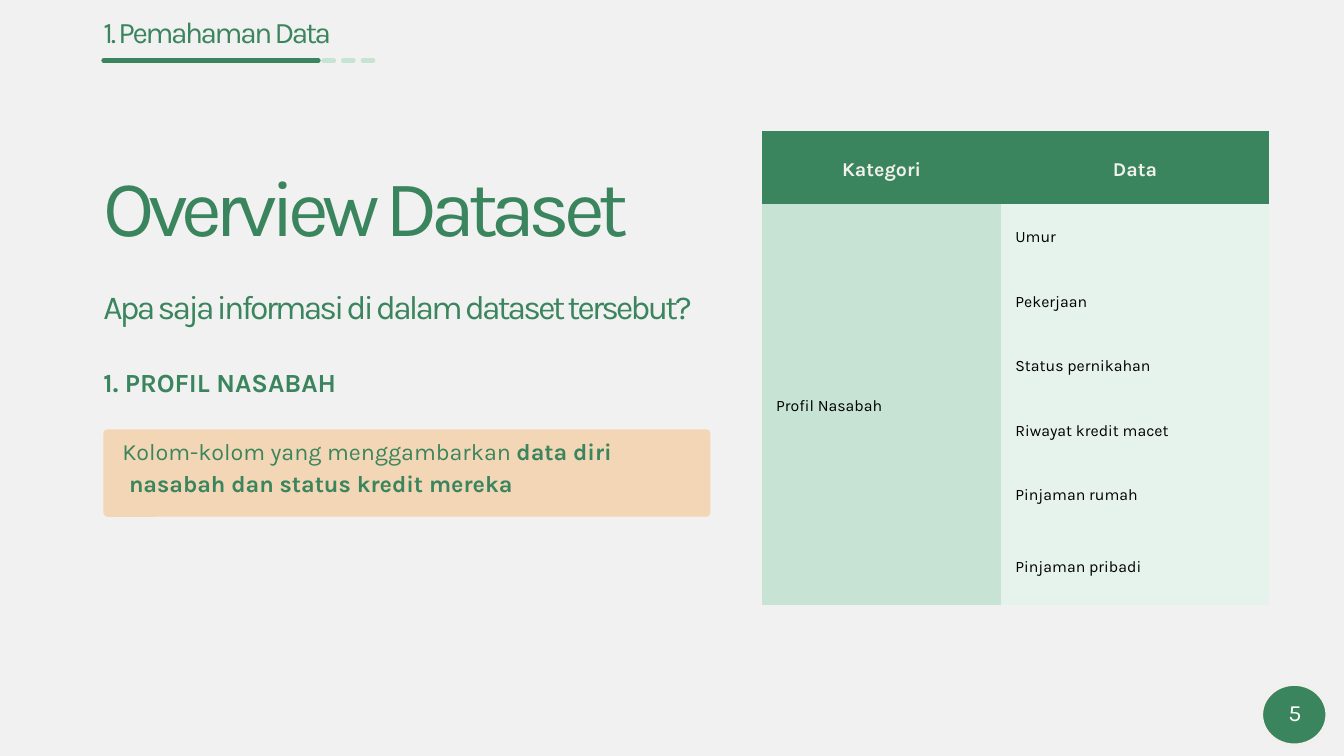
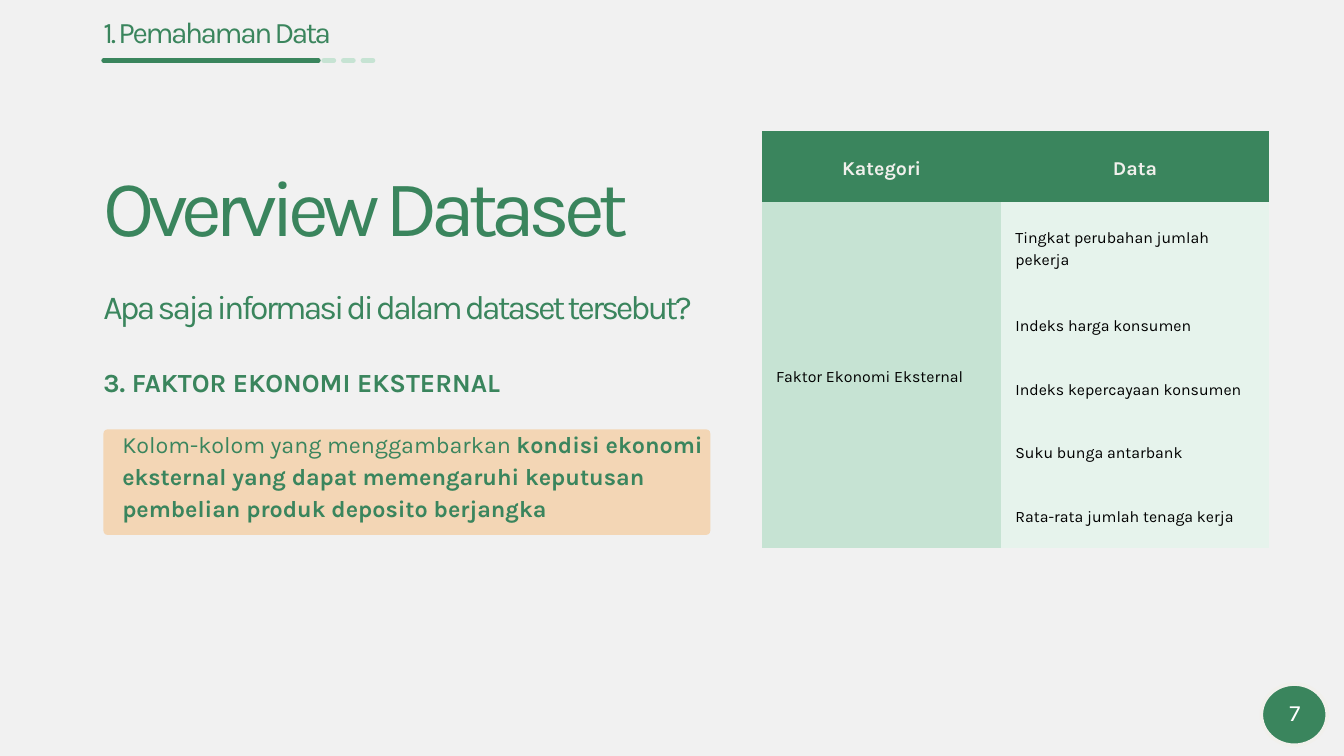
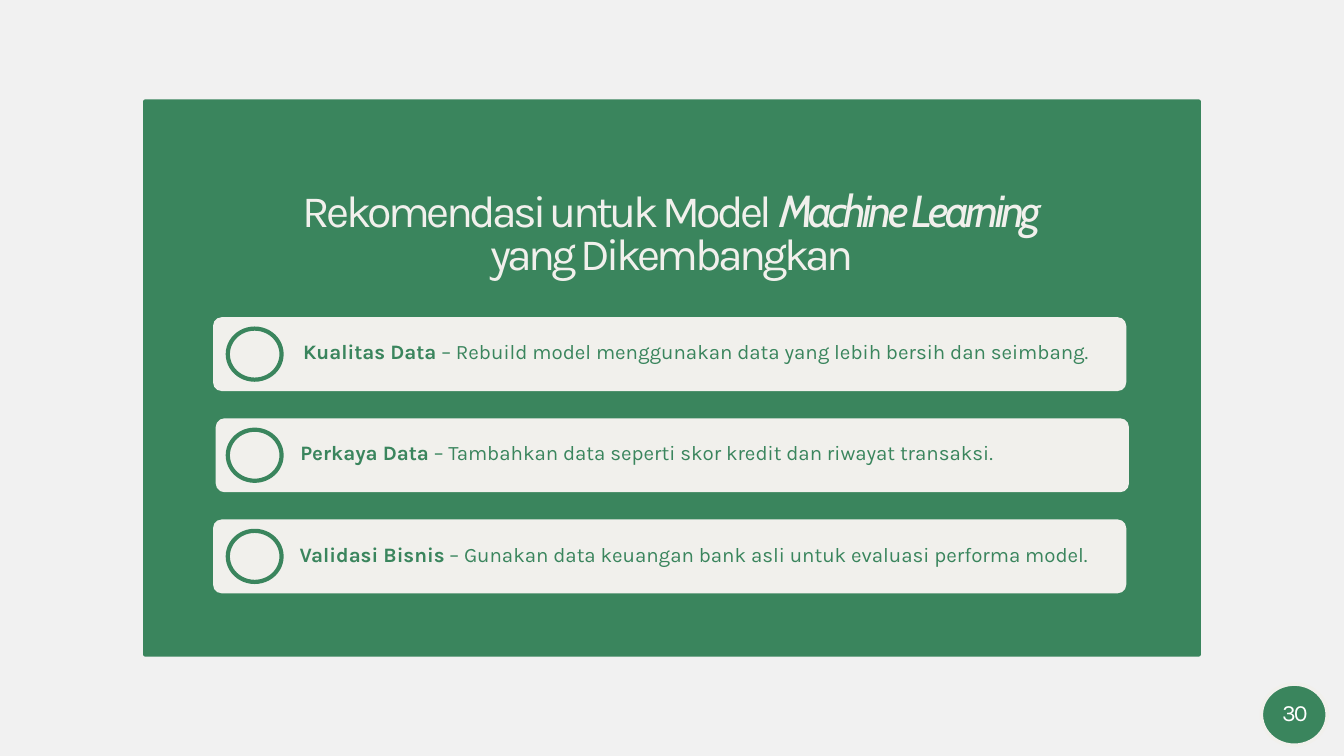
"""Build three slides on dataset overview and model recommendations."""
from dataclasses import dataclass

from lxml import etree
from pptx import Presentation, util as u
from pptx.dml.color import RGBColor
from pptx.enum import dml, shapes, text
from pptx.oxml.ns import qn


@dataclass(frozen=True)
class Theme:
    green: str = "3A855D"
    mint: str = "C6E3D3"
    pale: str = "E6F3EC"
    peach: str = "F3D6B5"
    cream: str = "F1F0EC"
    page: str = "F1F1F1"
    white: str = "FFFFFF"
    black: str = "000000"
    font: str = "Karla"
    accent: str = "Cabin"
    section: tuple = (32, 30.7, -260, green)
    title: tuple = (85, 81.6, -700, green)
    question: tuple = (36, 34.6, -300, green)
    topic: tuple = (28, 26.9, 0, green)
    note: tuple = (25, 34, 0, green)
    number: tuple = (25, 19.2, -200, white)
    head: tuple = (21, 29.4, 0, cream)
    cell: tuple = (17, 23.8, 0, black)
    panel: tuple = (48, 46.1, -390, cream)
    advice: tuple = (22, 26.6, 0, green)


T = Theme()
BOLD, CENTER = {"bold": True}, text.PP_ALIGN.CENTER
MIDDLE = text.MSO_ANCHOR.MIDDLE


def write(tf, paras, style, inset=0, left=None, anchor=text.MSO_ANCHOR.TOP, align=None):
    size, leading, spacing, color = style
    pad = u.Inches(inset)
    frame = {"word_wrap": True, "vertical_anchor": anchor, "margin_top": pad, "margin_right": pad,
             "margin_bottom": pad, "margin_left": pad if left is None else u.Inches(left)}
    for key, value in frame.items():
        setattr(tf, key, value)
    for i, runs in enumerate(paras):
        p = tf.add_paragraph() if i else tf.paragraphs[0]
        p.line_spacing, p.alignment = u.Pt(leading), align
        for words, extra in runs:
            r = p.add_run()
            r.text = words
            for key, value in {"name": T.font, "size": u.Pt(size), **extra}.items():
                setattr(r.font, key, value)
            r.font.color.rgb = RGBColor.from_string(color)
            if spacing:
                r._r.get_or_add_rPr().set("spc", str(spacing))


def shape(s, kind, at, fill, radius=0, line=None, width=0):
    sp = s.shapes.add_shape(kind, *map(u.Inches, at))
    sp.shadow.inherit = False
    sp.fill.solid()
    sp.fill.fore_color.rgb = RGBColor.from_string(fill)
    if radius:
        sp.adjustments[0] = radius / min(at[2:])
    if line:
        sp.line.color.rgb, sp.line.width = RGBColor.from_string(line), u.Pt(width)
    else:
        sp.line.fill.background()


ROUND, OVAL = shapes.MSO_SHAPE.ROUNDED_RECTANGLE, shapes.MSO_SHAPE.OVAL
prs = Presentation()
prs.slide_width, prs.slide_height = u.Inches(20), u.Inches(11.25)

overviews = [
    {"topic": "1. PROFIL NASABAH", "category": "Profil Nasabah", "note_height": 1.3,
     "note": [[("Kolom-kolom yang menggambarkan ", {}), ("data diri", BOLD)],
              [("nasabah dan status kredit mereka", BOLD)]],
     "indent": 0.1,
     "data": ["Umur", "Pekerjaan", "Status pernikahan", "Riwayat kredit macet",
              "Pinjaman rumah", "Pinjaman pribadi"],
     "heights": [1.08] + [0.96] * 5 + [1.17]},
    {"topic": "3. FAKTOR EKONOMI EKSTERNAL", "category": "Faktor Ekonomi Eksternal", "note_height": 1.57,
     "note": [[("Kolom-kolom yang menggambarkan ", {}), ("kondisi ekonomi", BOLD)],
              [("eksternal yang dapat memengaruhi keputusan", BOLD)],
              [("pembelian produk deposito berjangka", BOLD)]],
     "indent": 0,
     "data": ["Tingkat perubahan jumlah pekerja", "Indeks harga konsumen",
              "Indeks kepercayaan konsumen", "Suku bunga antarbank",
              "Rata-rata jumlah tenaga kerja"],
     "heights": [1.06, 1.34] + [0.95] * 4},
]

for view in overviews:
    s = prs.slides.add_slide(prs.slide_layouts[6])
    heights = view["heights"]
    at = map(u.Inches, (11.34, 1.95, 7.54, sum(heights)))
    tbl = s.shapes.add_table(len(heights), 2, *at).table
    for col, width in zip(tbl.columns, (3.56, 3.98)):
        col.width = u.Inches(width)
    for row, height in zip(tbl.rows, heights):
        row.height = u.Inches(height)
    rows = [("Kategori", "Data")] + [("", item) for item in view["data"]]
    rows[1] = (view["category"], view["data"][0])
    for i, row in enumerate(rows):
        for j, words in enumerate(row):
            cell = tbl.cell(i, j)
            tcPr = cell._tc.get_or_add_tcPr()
            for side in ("a:lnL", "a:lnR", "a:lnT", "a:lnB"):
                ln = etree.SubElement(tcPr, qn(side), w="0")
                etree.SubElement(ln, qn("a:noFill"))
            cell.fill.solid()
            cell.fill.fore_color.rgb = RGBColor.from_string((T.mint, T.pale)[j] if i else T.green)
            for side in ("left", "right", "top", "bottom"):
                setattr(cell, f"margin_{side}", u.Inches(0.21))
            cell.vertical_anchor = MIDDLE
            if words:
                write(cell.text_frame, [[(words, {"bold": i == 0})]], T.cell if i else T.head,
                      0.21, anchor=MIDDLE, align=None if i else CENTER)
    tbl.cell(1, 0).merge(tbl.cell(len(rows) - 1, 0))

    for top, width, height, words, style, extra in (
            (2.63, 9.03, 1.2, "Overview Dataset", T.title, {}),
            (0.31, 4.09, 0.45, "1. Pemahaman Data", T.section, {}),
            (4.37, 9.03, 0.52, "Apa saja informasi di dalam dataset tersebut?", T.question, {}),
            (5.54, 6.57, 0.4, view["topic"], T.topic, BOLD)):
        sp = s.shapes.add_textbox(*map(u.Inches, (1.54, top, width, height)))
        write(sp.text_frame, [[(words, extra)]], style)

    shape(s, ROUND, (1.54, 6.39, 9.03, view["note_height"]), T.peach, 0.06)
    sp = s.shapes.add_textbox(*map(u.Inches, (1.54, 6.15, 9.03, view["note_height"] + 0.24)))
    write(sp.text_frame, view["note"], T.note, 0.06, 0.28, MIDDLE)
    for p in sp.text_frame.paragraphs[1:]:
        p._p.get_or_add_pPr().set("marL", str(u.Inches(view["indent"])))

    for start, end, color, width, dash in ((1.54, 4.74, T.green, 4.5, None),
                                           (4.82, 5.63, T.mint, 5.25, dml.MSO_LINE.SQUARE_DOT)):
        ends = map(u.Inches, (start, 0.9, end, 0.9))
        rule = s.shapes.add_connector(shapes.MSO_CONNECTOR.STRAIGHT, *ends)
        rule.line.color.rgb, rule.line.width = RGBColor.from_string(color), u.Pt(width)
        rule.line.dash_style = dash
        rule.line._get_or_add_ln().set("cap", "rnd")
        etree.SubElement(rule._element.spPr, qn("a:effectLst"))

s = prs.slides.add_slide(prs.slide_layouts[6])
shape(s, ROUND, (2.13, 1.48, 15.74, 8.29), T.green, 0.03)
sp = s.shapes.add_textbox(*map(u.Inches, (4.19, 2.88, 11.62, 1.33)))
write(sp.text_frame, [[("Rekomendasi untuk Model ", {}),
                       ("Machine Learning", {"name": T.accent, "italic": True}),
                       (" yang Dikembangkan", {})]], T.panel, align=CENTER)

advice = [
    (3.17, 1.34, "Kualitas Data", " – Rebuild model menggunakan data yang lebih bersih dan seimbang."),
    (3.21, 1.26, "Perkaya Data", " – Tambahkan data seperti skor kredit dan riwayat transaksi."),
    (3.17, 1.29, "Validasi Bisnis", " – Gunakan data keuangan bank asli untuk evaluasi performa model."),
]
for i, (left, indent, lead, rest) in enumerate(advice):
    top = 4.72 + 1.505 * i
    shape(s, ROUND, (left, top, 13.59, 1.1), T.cream, 0.13)
    sp = s.shapes.add_textbox(*map(u.Inches, (left, top - 0.08, 13.59, 1.18)))
    write(sp.text_frame, [[(lead, BOLD), (rest, {})]], T.advice, 0.05, indent, MIDDLE)
    shape(s, OVAL, (3.39, top + 0.17, 0.8, 0.76), T.cream, line=T.green, width=4.5)

for s, number in zip(prs.slides, ("5", "7", "30")):
    s.background.fill.solid()
    s.background.fill.fore_color.rgb = RGBColor.from_string(T.page)
    shape(s, OVAL, (18.77, 10.18, 0.98, 0.91), T.green, line=T.cream, width=3.75)
    sp = s.shapes.add_textbox(*map(u.Inches, (18.87, 10.36, 0.8, 0.64)))
    write(sp.text_frame, [[(number, {})]], T.number, 0.06, anchor=MIDDLE, align=CENTER)

prs.save("out.pptx")
